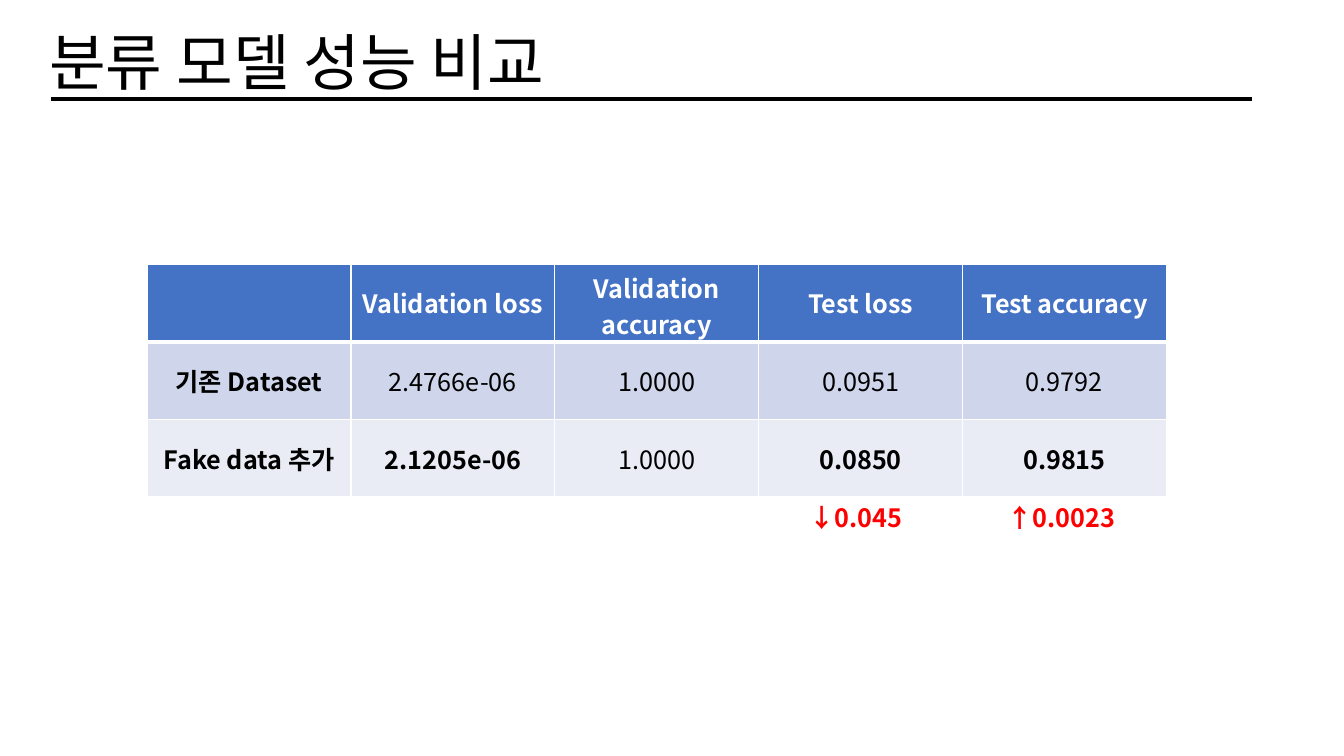
from lxml.etree import SubElement
from pptx import Presentation
from pptx.dml.color import RGBColor
from pptx.enum.shapes import MSO_CONNECTOR as LINE
from pptx.enum.text import MSO_ANCHOR as ANCHOR, PP_ALIGN as ALIGN
from pptx.oxml.ns import qn
from pptx.util import Inches, Pt

FONT = "Noto Sans CJK KR"
BLACK = RGBColor(0, 0, 0)
WHITE = RGBColor(255, 255, 255)
RED = RGBColor(255, 0, 0)
BLUE = RGBColor(0x44, 0x72, 0xC4)
BANDS = [RGBColor(0xCF, 0xD5, 0xEA), RGBColor(0xE9, 0xEB, 0xF5)]

SCORES = [
    ["", "Validation loss", "Validation accuracy", "Test loss", "Test accuracy"],
    ["기존 Dataset", "2.4766e-06", "1.0000", "0.0951", "0.9792"],
    ["Fake data 추가", "2.1205e-06", "1.0000", "0.0850", "0.9815"],
]
BEST = {(2, 1), (2, 3), (2, 4)}


class Page:
    def __init__(self, slide):
        self.shapes = slide.shapes

    def label(self, para, text, size, color, bold=False, align=ALIGN.LEFT):
        """Fill a paragraph with text in the page's font."""
        para.text = text
        para.alignment = align
        font = para.font
        font.size, font.bold, font.name = Pt(size), bold, FONT
        font.color.rgb = color
        # Korean glyphs take the East Asian typeface
        props = para._p.pPr.find(qn("a:defRPr"))
        SubElement(props, qn("a:ea"), typeface=FONT)

    def text(self, box, text, size, color, anchor=ANCHOR.TOP, **style):
        frame = self.shapes.add_textbox(*map(Inches, box)).text_frame
        frame.word_wrap = True
        frame.vertical_anchor = anchor
        para = frame.paragraphs[0]
        self.label(para, text, size, color, **style)
        return para

    def rule(self, left, right, top, width):
        line = self.shapes.add_connector(
            LINE.STRAIGHT, Inches(left), Inches(top), Inches(right), Inches(top))
        line.line.color.rgb = BLACK
        line.line.width = Pt(width)
        SubElement(line._element.spPr, qn("a:effectLst"))

    def edges(self, cell, **widths):
        """Draw white cell borders, in points, for sides L, R, T and B."""
        props = cell._tc.get_or_add_tcPr()
        for side, width in widths.items():
            edge = SubElement(props, qn(f"a:ln{side}"), w=str(Pt(width)))
            fill = SubElement(edge, qn("a:solidFill"))
            SubElement(fill, qn("a:srgbClr"), val=str(WHITE))

    def table(self, box, data, best):
        grid = self.shapes.add_table(
            len(data), len(data[0]), *map(Inches, box)).table
        for row, texts in enumerate(data):
            head = row == 0
            for col, text in enumerate(texts):
                cell = grid.cell(row, col)
                cell.vertical_anchor = ANCHOR.MIDDLE
                self.edges(cell, L=1, R=1, T=3 if row == 1 else 1,
                           B=3 if head else 1)
                cell.fill.solid()
                cell.fill.fore_color.rgb = BLUE if head else BANDS[row - 1]
                self.label(cell.text_frame.paragraphs[0], text, 18,
                           WHITE if head else BLACK,
                           bold=head or col == 0 or (row, col) in best,
                           align=ALIGN.CENTER)


def main():
    deck = Presentation()
    deck.slide_width, deck.slide_height = Inches(13.33), Inches(7.5)
    page = Page(deck.slides.add_slide(deck.slide_layouts[6]))
    title = page.text((0.39, 0.16, 11.5, 0.98), "분류 모델 성능 비교", 44, BLACK,
                      anchor=ANCHOR.MIDDLE)
    title.line_spacing = 0.9
    page.rule(0.51, 12.42, 0.98, 3)
    page.table((1.46, 2.62, 10.11, 2.31), SCORES, BEST)
    page.text((7.93, 4.93, 1.23, 0.4), "↓0.045", 18, RED, bold=True)
    page.text((9.87, 4.93, 1.31, 0.4), "↑0.0023", 18, RED, bold=True,
              align=ALIGN.CENTER)
    deck.save("out.pptx")


if __name__ == "__main__":
    main()
